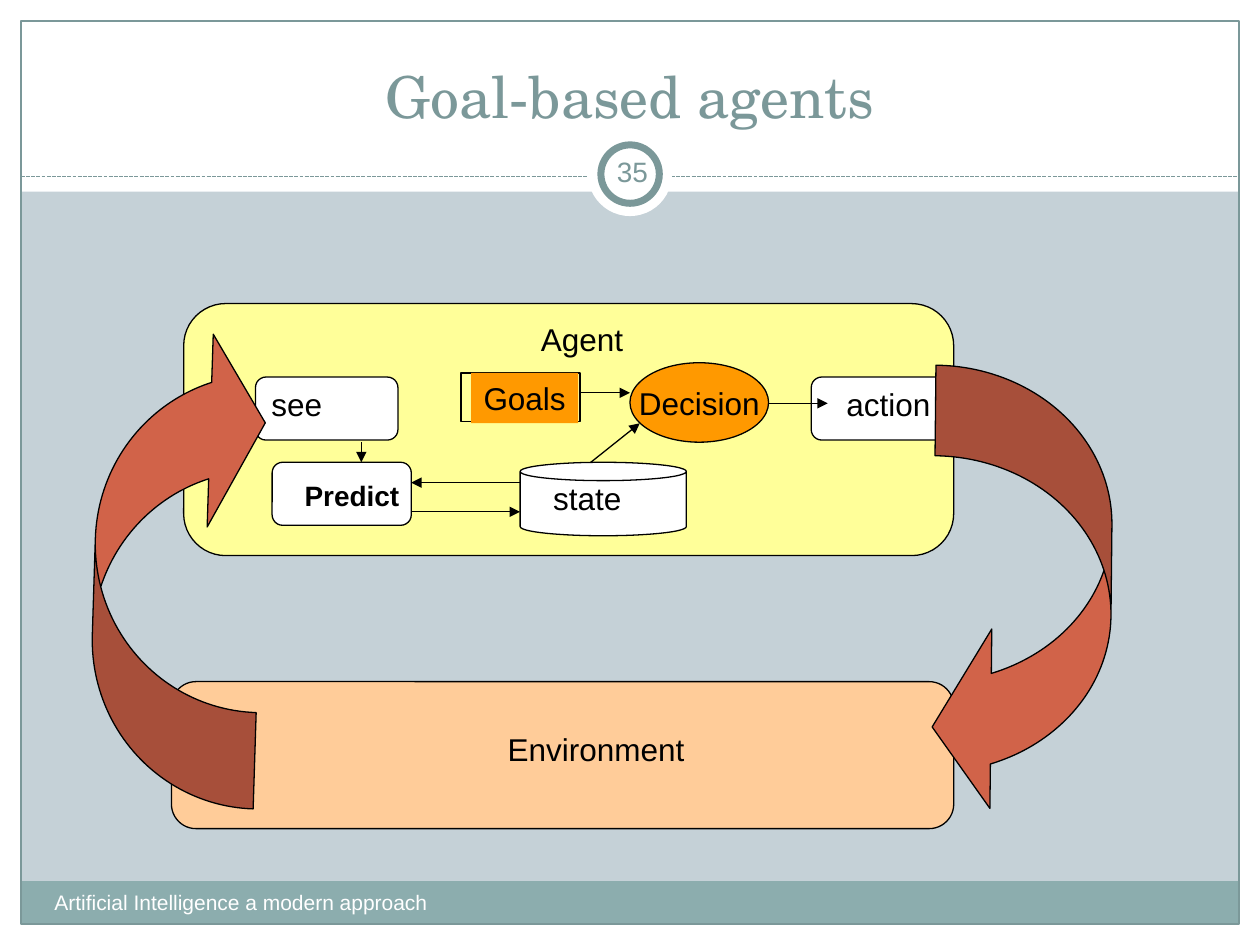
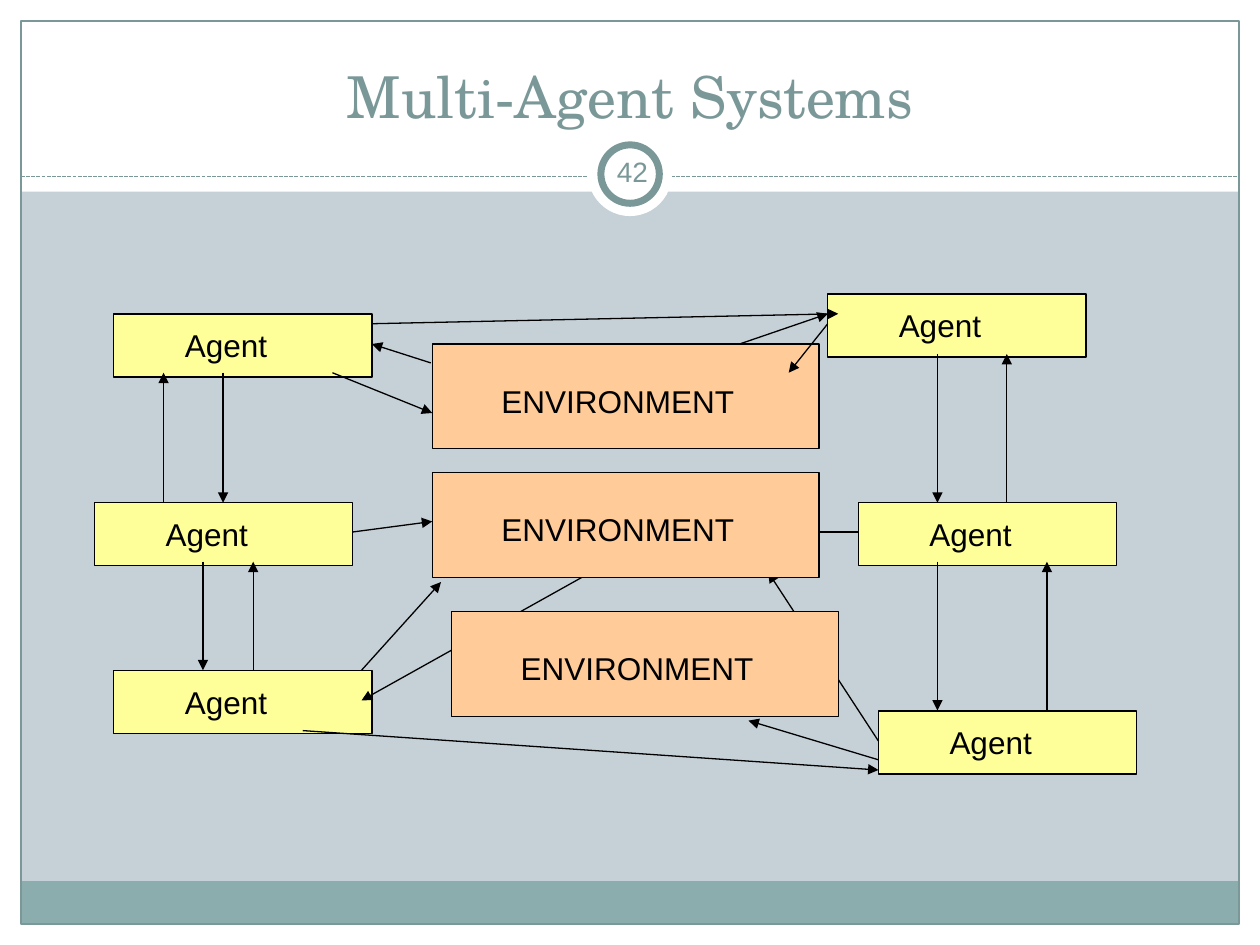
from dataclasses import dataclass

from lxml.etree import SubElement as Sub
from pptx import Presentation
from pptx.dml.color import RGBColor as Rgb
from pptx.enum.dml import MSO_LINE as Dash
from pptx.enum.shapes import MSO_CONNECTOR as Conn, MSO_SHAPE as Kind
from pptx.enum.text import MSO_ANCHOR as Anchor, MSO_AUTO_SIZE as Fit, PP_ALIGN as Align
from pptx.oxml.ns import qn
from pptx.util import Pt


@dataclass(frozen=True)
class Theme:
    """Colours, fonts and type sizes of the deck."""
    back: str = "C5D1D7"
    white: str = "FFFFFF"
    black: str = "000000"
    teal: str = "7B9899"
    band: str = "8CADAE"
    yellow: str = "FFFF99"
    peach: str = "FFCC99"
    orange: str = "FF9900"
    rust: str = "D16349"
    serif: str = "TeX Gyre Schola"
    sans: str = "Arial"
    head: int = 33
    text: int = 18
    small: int = 16
    foot: int = 12
    thin: float = 0.75
    ring: int = 4


T = Theme()


def write(frame, text, size=T.text, color=T.black, font=T.sans, bold=False,
          align=Align.LEFT, anchor=Anchor.TOP, wrap=True, pad=(7.2, 3.6)):
    """Put formatted text in a text frame."""
    frame.text = text
    frame.auto_size, frame.word_wrap = Fit.NONE, wrap
    frame.vertical_anchor = anchor
    frame.margin_left = frame.margin_right = Pt(pad[0])
    frame.margin_top = frame.margin_bottom = Pt(pad[1])
    par = frame.paragraphs[0]
    par.alignment = align
    face = par.runs[0].font
    face.name, face.size, face.bold = font, Pt(size), bold
    face.color.rgb = Rgb.from_string(color)


def shape(shapes, kind, box, fill=None, line=None, width=T.thin):
    """Draw a preset shape with a flat fill and line."""
    item = shapes.add_shape(kind, *map(Pt, box))
    item.shadow.inherit = False
    if fill:
        item.fill.solid()
        item.fill.fore_color.rgb = Rgb.from_string(fill)
    else:
        item.fill.background()
    if line:
        item.line.color.rgb = Rgb.from_string(line)
        item.line.width = Pt(width)
    else:
        item.line.fill.background()
    return item


def label(shapes, box, text, **style):
    """Place a text box."""
    write(shapes.add_textbox(*map(Pt, box)).text_frame, text, **style)


def link(shapes, ends, color=T.black, dash=None, arrow=True):
    """Draw a straight line, with an arrowhead unless told otherwise."""
    item = shapes.add_connector(Conn.STRAIGHT, *map(Pt, ends))
    item.line.color.rgb = Rgb.from_string(color)
    item.line.width = Pt(T.thin)
    if dash:
        item.line.dash_style = dash
    props = item.element.spPr
    if arrow:
        Sub(props.find(qn("a:ln")), qn("a:tailEnd"), type="triangle")
    Sub(props, qn("a:effectLst"))


def shift(box, part):
    """Move a part from box terms to slide terms."""
    return box[0] + part[0], box[1] + part[1], *part[2:]


def links(shapes, box, rows):
    """Draw arrows whose ends are relative to the box."""
    for x1, y1, x2, y2 in rows:
        link(shapes, (*shift(box, (x1, y1)), *shift(box, (x2, y2))))


def chrome(layout, slide, box):
    """Draw the shared borders, band and ring and move them to the layout."""
    wide, high = box
    edge = 12
    for item in list(layout.placeholders):
        if item.placeholder_format.idx:
            item.element.getparent().remove(item.element)
        else:
            item.left, item.top, item.width, item.height = map(Pt, (24, 18, 672, 60))
    layout.background.fill.solid()
    layout.background.fill.fore_color.rgb = Rgb.from_string(T.back)
    shapes = slide.shapes
    first = len(shapes)
    for part in ((0, high - edge, wide, edge), (0, 0, wide, 109.5),
                 (0, 0, edge, high), (wide - edge, 0, edge, high)):
        shape(shapes, Kind.RECTANGLE, part, T.white)
    shape(shapes, Kind.RECTANGLE, (edge, 503.5, wide - 2 * edge, 24.5), T.band)
    shape(shapes, Kind.RECTANGLE, (edge, edge, wide - 2 * edge, high - 2 * edge), line=T.teal)
    link(shapes, (edge, 100.8, wide - edge, 100.8), T.teal, Dash.SQUARE_DOT, False)
    shape(shapes, Kind.OVAL, (336, 75.5, 48, 48), T.white)
    shape(shapes, Kind.OVAL, (343.4, 82.8, 33.4, 33.4), T.white, T.teal, T.ring)
    for item in list(shapes)[first:]:
        layout.shapes.element.append(item.element)


def header(slide, title, page, foot=None):
    """Fill the title, the page number and the footer."""
    write(slide.shapes.title.text_frame, title, size=T.head, color=T.teal,
          font=T.serif, align=Align.CENTER, anchor=Anchor.BOTTOM)
    label(slide.shapes, (343.4, 80.6, 36, 34.6), page, size=T.small, color=T.teal,
          align=Align.CENTER, anchor=Anchor.MIDDLE, pad=(3.6, 3.6))
    if foot:
        label(slide.shapes, (24, 505, 282, 29), foot, size=T.foot, color=T.white)


def world(shapes, box):
    """Draw the environment panel."""
    shape(shapes, Kind.ROUNDED_RECTANGLE, box, T.peach, T.black)
    label(shapes, shift(box, (185, 24, 143, 29)), "Environment")


def agent(shapes, box):
    """Draw the agent panel and its inner parts."""
    shape(shapes, Kind.ROUNDED_RECTANGLE, box, T.yellow, T.black)
    label(shapes, shift(box, (197, 6, 74, 29)), "Agent")
    bold = {"size": T.small, "bold": True}
    nodes = (
        (Kind.ROUNDED_RECTANGLE, (41, 42, 81.4, 36), (43, 43, 61, 29), "see", {}),
        (Kind.ROUNDED_RECTANGLE, (358.6, 42, 81.4, 36), (371.5, 43, 74, 29), "action", {}),
        (Kind.ROUNDED_RECTANGLE, (50.5, 90.7, 79.5, 36), (62, 96.5, 80.6, 26.6), "Predict", bold),
        (Kind.CAN, (192.2, 90.7, 95, 42), (204, 96.5, 61, 29), "state", {}),
    )
    for kind, part, spot, text, style in nodes:
        shape(shapes, kind, shift(box, part), T.white, T.black)
        label(shapes, shift(box, spot), text, **style)
    shape(shapes, Kind.RECTANGLE, shift(box, (158.4, 39.6, 68, 28)), line=T.black)
    goals = shape(shapes, Kind.RECTANGLE, shift(box, (164.2, 39.6, 61.2, 28.8)), T.orange)
    write(goals.text_frame, "Goals", wrap=False)
    oval = shape(shapes, Kind.OVAL, shift(box, (255, 33.8, 79.2, 45.4)), T.orange, T.black)
    write(oval.text_frame, "Decision", align=Align.CENTER, anchor=Anchor.MIDDLE, wrap=False)
    links(shapes, box, (
        (130, 119, 192.2, 119), (192.2, 102.3, 130, 102.3), (101.5, 79, 101.5, 90.7),
        (226.5, 51, 255, 51), (232.6, 90.7, 260.6, 68.4), (334.2, 57, 368, 57)))


def loop(shapes, box, turn, sizes):
    """Draw one curved arrow between agent and environment."""
    item = shape(shapes, Kind.CURVED_LEFT_ARROW, box, T.rust, T.black)
    item.rotation = turn
    for i, size in enumerate(sizes):
        item.adjustments[i] = size


def card(shapes, box, fill, spot, text):
    """Draw a grouped box with its label."""
    group = shapes.add_group_shape().shapes
    shape(group, Kind.RECTANGLE, box, fill, T.black)
    label(group, shift(box, spot), text)


def goal(slide):
    """Build the goal-based agent slide."""
    header(slide, "Goal-based agents", "35", "Artificial Intelligence a modern approach")
    shapes = slide.shapes
    world(shapes, (98, 389.5, 447, 84))
    agent(shapes, (105, 173.5, 440, 144))
    loop(shapes, (54, 185, 95, 275.8), 181.8, (0.58, 1.16, 0.33))
    loop(shapes, (533.5, 209.2, 101.5, 258), 0.6, (0.51, 1.01, 0.33))


def mesh(shapes, box):
    """Draw the agents, the environments and the arrows among them."""
    def place(spot, env=False):
        """Place one card by its kind."""
        if env:
            card(shapes, shift(box, (*spot, 221, 60)), T.peach, (32.5, 18, 163, 29), "ENVIRONMENT")
        else:
            card(shapes, shift(box, (*spot, 147.6, 36)), T.yellow, (33.5, 3.5, 65, 29), "Agent")

    for spot in ((11, 11.5), (0, 119.3), (448, 238.3), (436.5, 119.3), (419, 0), (11, 215.3)):
        place(spot)
    place((193, 28.5), True)
    links(shapes, box, (
        (73.5, 45, 73.5, 119.3), (136, 45, 193, 68), (62, 153, 62, 215),
        (39.5, 119.3, 39.5, 45), (90.7, 215, 90.7, 153), (147.6, 136, 193, 130),
        (152.6, 215, 198, 164.6), (481.7, 34.3, 481.7, 119.3), (481.7, 153, 481.7, 238),
        (521.3, 119.3, 521.3, 34.3), (544.3, 238, 544.3, 153), (419, 17, 396.7, 45),
        (436.5, 136, 396.7, 136), (448, 255.5, 385, 159), (294.5, 153, 152.6, 232.3),
        (368.6, 28.6, 419, 11.3), (192.2, 39.4, 158.5, 28.6), (158.5, 17, 425, 11.3),
        (448, 266.2, 373.7, 243.8)))
    for spot in ((193, 102), (204, 181.3)):
        place(spot, True)
    links(shapes, box, ((119, 249.5, 448, 272),))


def multi(slide):
    """Build the multi-agent slide."""
    header(slide, "Multi-Agent Systems", "42")
    mesh(slide.shapes, (54, 168))


def main():
    """Build and save the deck."""
    deck = Presentation()
    wide, high = 720, 540
    deck.slide_width, deck.slide_height = Pt(wide), Pt(high)
    layout = deck.slide_layouts[5]
    first, second = (deck.slides.add_slide(layout) for _ in range(2))
    chrome(layout, first, (wide, high))
    goal(first)
    multi(second)
    deck.save("out.pptx")


if __name__ == "__main__":
    main()
